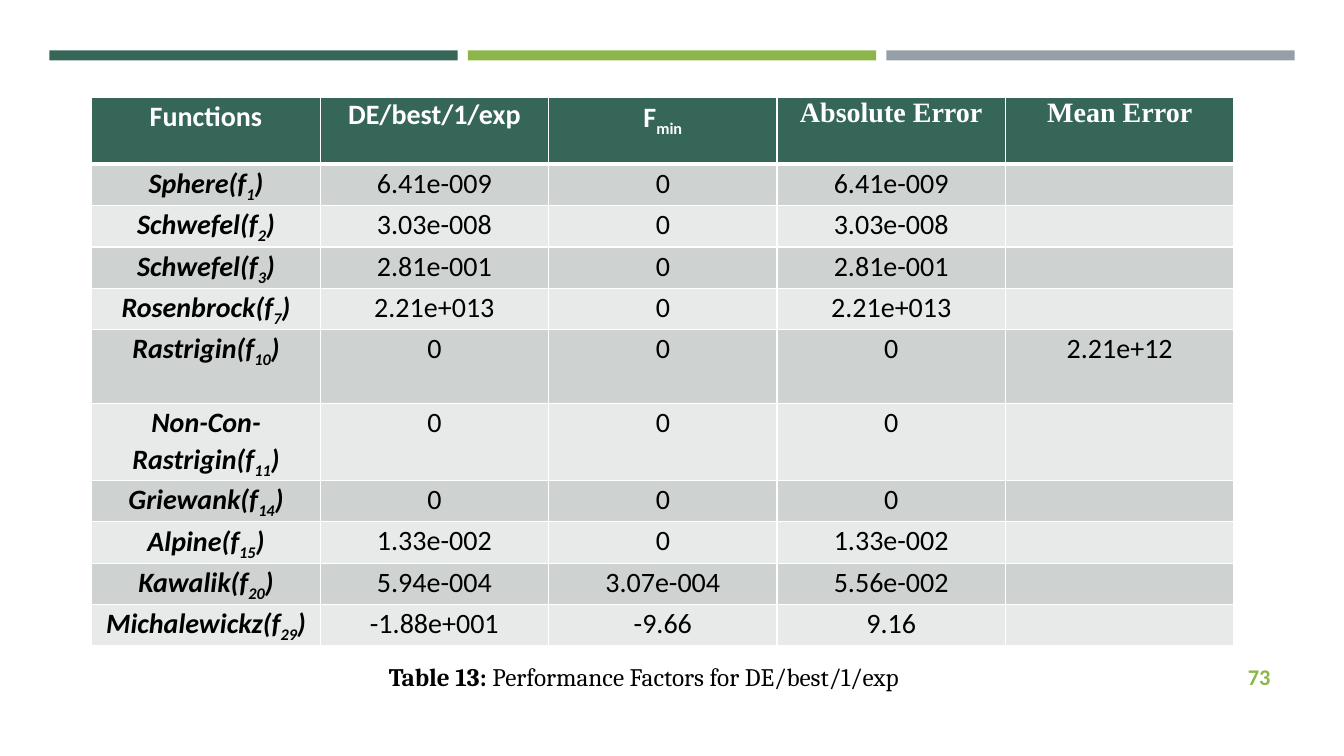
from lxml import etree
from pptx import Presentation
from pptx.dml.color import RGBColor
from pptx.enum.shapes import MSO_SHAPE
from pptx.enum.text import MSO_ANCHOR, PP_ALIGN
from pptx.oxml.ns import qn
from pptx.util import Inches, Pt

RECTANGLE = MSO_SHAPE.RECTANGLE
CENTER, RIGHT = PP_ALIGN.CENTER, PP_ALIGN.RIGHT
MIDDLE = MSO_ANCHOR.MIDDLE

WHITE = RGBColor(0xFF, 0xFF, 0xFF)
BLACK = RGBColor(0x00, 0x00, 0x00)
DARK_GREEN = RGBColor(0x36, 0x66, 0x58)
LIME = RGBColor(0x8C, 0xB6, 0x4A)
SLATE = RGBColor(0x96, 0x9F, 0xA7)
BAND_DARK = RGBColor(0xCE, 0xD3, 0xD1)
BAND_LIGHT = RGBColor(0xE8, 0xEA, 0xEA)

HEADERS = [  # label, subscript, font, line spacing
    ("Functions", "", "Calibri", 1.07),
    ("DE/best/1/exp", "", "Calibri", 1.0),
    ("F", "min", "Calibri", 1.07),
    ("Absolute Error", "", "Times New Roman", 1.0),
    ("Mean Error", "", "Times New Roman", 1.0),
]
RESULTS = [  # function, index, best, minimum, absolute error, mean error
    ("Sphere", "1", "6.41e-009", "0", "6.41e-009", ""),
    ("Schwefel", "2", "3.03e-008", "0", "3.03e-008", ""),
    ("Schwefel", "3", "2.81e-001", "0", "2.81e-001", ""),
    ("Rosenbrock", "7", "2.21e+013", "0", "2.21e+013", ""),
    ("Rastrigin", "10", "0", "0", "0", "2.21e+12"),
    ("Non-Con-Rastrigin", "11", "0", "0", "0", ""),
    ("Griewank", "14", "0", "0", "0", ""),
    ("Alpine", "15", "1.33e-002", "0", "1.33e-002", ""),
    ("Kawalik", "20", "5.94e-004", "3.07e-004", "5.56e-002", ""),
    ("Michalewickz", "29", "-1.88e+001", "-9.66", "9.16", ""),
]
ROW_HEIGHT = 0.41
TALL_ROWS = {0: 0.66, 5: 0.73, 6: 0.76}


def add_run(paragraph, text, size, color, font="Calibri", bold=False,
            italic=False, subscript=False):
    run = paragraph.add_run()
    run.text = text
    run.font.name = font
    run.font.size = Pt(size)
    run.font.bold = bold
    run.font.italic = italic
    run.font.color.rgb = color
    if subscript:
        run.font._element.set("baseline", "-25000")


def style_cell(cell, fill, top, bottom):
    properties = cell._tc.get_or_add_tcPr()
    for side, width in (("L", 1), ("R", 1), ("T", top), ("B", bottom)):
        line = etree.SubElement(properties, qn(f"a:ln{side}"), w=str(Pt(width)))
        solid = etree.SubElement(line, qn("a:solidFill"))
        etree.SubElement(solid, qn("a:srgbClr"), val=str(WHITE))
    cell.fill.solid()
    cell.fill.fore_color.rgb = fill
    cell.margin_left = cell.margin_right = Inches(0.07)
    cell.margin_top = cell.margin_bottom = 0


presentation = Presentation()
presentation.slide_width = Inches(13.33)
presentation.slide_height = Inches(7.5)
slide = presentation.slides.add_slide(presentation.slide_layouts[6])

# Three bars across the top
for index, color in enumerate((DARK_GREEN, LIME, SLATE)):
    bar = slide.shapes.add_shape(RECTANGLE, Inches(0.49 + 4.15 * index),
                                 Inches(0.5), Inches(4.05), Inches(0.1))
    bar.shadow.inherit = False
    bar.fill.solid()
    bar.fill.fore_color.rgb = color
    bar.line.fill.background()

# Results table
row_heights = [TALL_ROWS.get(row, ROW_HEIGHT) for row in range(len(RESULTS) + 1)]
table = slide.shapes.add_table(len(row_heights), len(HEADERS), Inches(0.91),
                               Inches(0.97), Inches(11.33),
                               Inches(sum(row_heights))).table
for row, height in zip(table.rows, row_heights):
    row.height = Inches(height)

# Header row
for column, (label, subscript, font, spacing) in enumerate(HEADERS):
    cell = table.cell(0, column)
    style_cell(cell, DARK_GREEN, 1, 3)
    paragraph = cell.text_frame.paragraphs[0]
    paragraph.alignment = CENTER
    paragraph.line_spacing = spacing
    add_run(paragraph, label, 20, WHITE, font, bold=True)
    if subscript:
        add_run(paragraph, subscript, 20, WHITE, font, bold=True, subscript=True)

# Body rows
for row, (function, number, *values) in enumerate(RESULTS, start=1):
    for column, value in enumerate([function] + values):
        cell = table.cell(row, column)
        style_cell(cell, BAND_DARK if row % 2 else BAND_LIGHT,
                   3 if row == 1 else 1, 1)
        paragraph = cell.text_frame.paragraphs[0]
        paragraph.alignment = CENTER
        paragraph.line_spacing = 1.07
        if column == 0:
            for text, lowered in ((f"{function}(f", False), (number, True), (")", False)):
                add_run(paragraph, text, 20, BLACK, bold=True, italic=True,
                        subscript=lowered)
        elif value:
            add_run(paragraph, value, 20, BLACK)

# Caption
caption = slide.shapes.add_textbox(Inches(1.94), Inches(6.51), Inches(8.89), Inches(0.4))
caption.text_frame.word_wrap = True
paragraph = caption.text_frame.paragraphs[0]
paragraph.alignment = CENTER
add_run(paragraph, "Table 13: ", 18, BLACK, "Cambria", bold=True)
add_run(paragraph, "Performance Factors for DE/best/1/exp", 18, BLACK, "Cambria")

# Page number
page_number = slide.shapes.add_textbox(Inches(11.55), Inches(6.51), Inches(1.15), Inches(0.4))
page_number.text_frame.word_wrap = True
page_number.text_frame.vertical_anchor = MIDDLE
paragraph = page_number.text_frame.paragraphs[0]
paragraph.alignment = RIGHT
add_run(paragraph, "73", 16, LIME, bold=True)

presentation.save("out.pptx")
